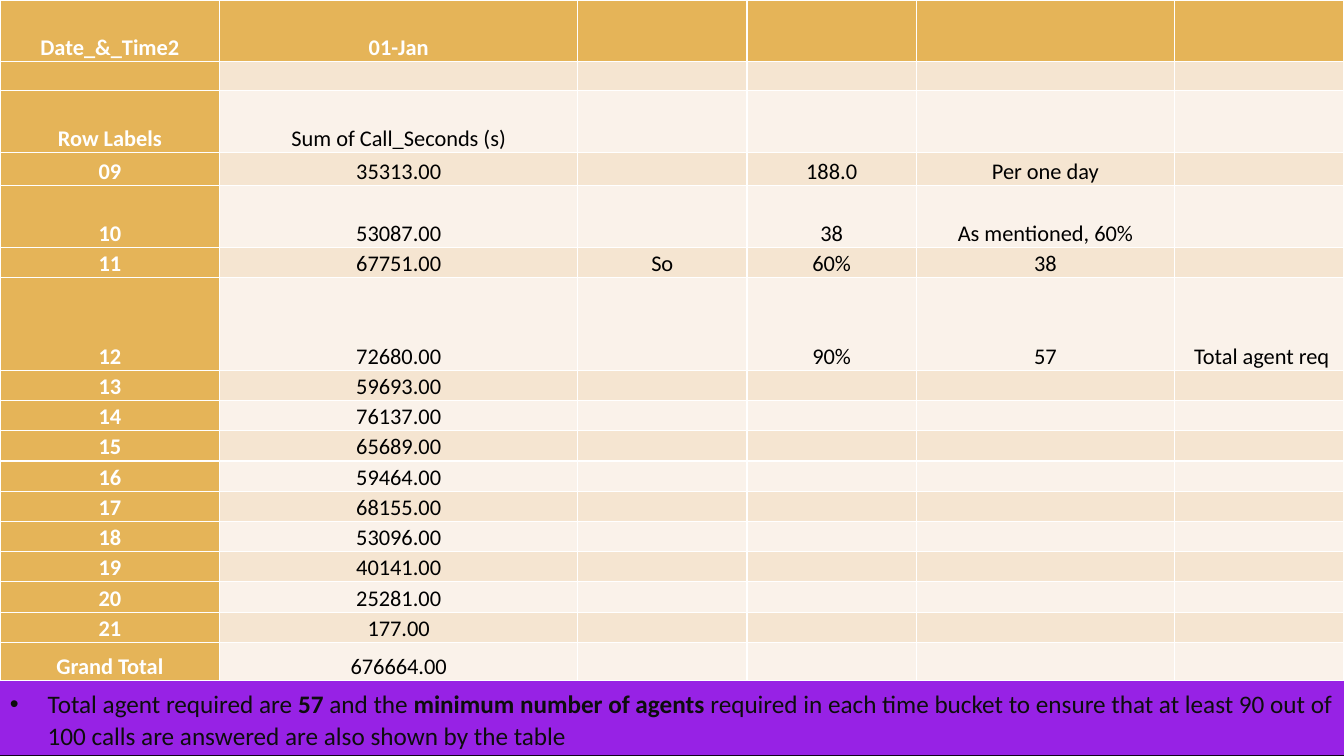
from lxml import etree
from pptx import Presentation
from pptx.dml.color import RGBColor
from pptx.enum import shapes, text
from pptx.oxml import ns
from pptx.util import Pt

GOLD, SAND, CREAM = "E5B458", "F5E5D1", "FAF2EA"
COLUMN_WIDTHS = [157, 255.6, 121, 121, 184.4, 121]
ROW_HEIGHTS = [44, 20.9, 44, 23.8, 44, 21.6, 66.2] + [21.6] * 9 + [27.4]
CALL_ROWS = [
    ["Date_&_Time2", "01-Jan"],
    [],
    ["Row Labels", "Sum of Call_Seconds (s)"],
    ["09", "35313.00", "", "188.0", " Per one day "],
    ["10", "53087.00", "", "38", "As mentioned, 60%"],
    ["11", "67751.00", "So", "60%", "38"],
    ["12", "72680.00", "", "90%", "57", " Total agent req"],
    ["13", "59693.00"],
    ["14", "76137.00"],
    ["15", "65689.00"],
    ["16", "59464.00"],
    ["17", "68155.00"],
    ["18", "53096.00"],
    ["19", "40141.00"],
    ["20", "25281.00"],
    ["21", "177.00"],
    ["Grand Total", "676664.00"],
]
CONCLUSION = [
    ("Total agent required are ", False),
    ("57 ", True),
    ("and the ", False),
    ("minimum number of agents", True),
    (" required in each time bucket to ensure that at least 90 out of "
     "100 calls are answered are also shown by the table", False),
]


def paint(fill, color):
    fill.solid()
    fill.fore_color.rgb = RGBColor.from_string(color)


def style(paragraph, size, color):
    paragraph.line_spacing = 1.07
    paragraph.space_after = Pt(8)
    paragraph.font.name = "Calibri"
    paragraph.font.size = Pt(size)
    paragraph.font.color.rgb = RGBColor.from_string(color)


def fill_cell(cell, wording, is_header, band):
    paint(cell.fill, GOLD if is_header else band)
    cell.margin_left = cell.margin_right = Pt(5)
    cell.margin_top = cell.margin_bottom = 0
    cell.vertical_anchor = text.MSO_ANCHOR.BOTTOM
    paragraph = cell.text_frame.paragraphs[0]
    if wording:
        paragraph.text = wording
        paragraph.alignment = text.PP_ALIGN.CENTER
        style(paragraph, 16, "FFFFFF" if is_header else "000000")
        paragraph.font.bold = is_header
    else:
        etree.SubElement(paragraph._p, ns.qn("a:endParaRPr"), sz="1600")


def add_call_table(slide):
    calls = slide.shapes.add_table(
        len(ROW_HEIGHTS), len(COLUMN_WIDTHS), 0, 0,
        Pt(sum(COLUMN_WIDTHS)), Pt(sum(ROW_HEIGHTS))).table
    for column, width in zip(calls.columns, COLUMN_WIDTHS):
        column.width = Pt(width)
    for r, (height, wordings) in enumerate(zip(ROW_HEIGHTS, CALL_ROWS)):
        calls.rows[r].height = Pt(height)
        band = SAND if r % 2 else CREAM
        for c in range(len(COLUMN_WIDTHS)):
            wording = wordings[c] if c < len(wordings) else ""
            fill_cell(calls.cell(r, c), wording, r == 0 or c == 0, band)


def add_conclusion(slide):
    banner = slide.shapes.add_shape(
        shapes.MSO_SHAPE.RECTANGLE, 0, Pt(486.6), Pt(960), Pt(52.8))
    banner.shadow.inherit = False
    paint(banner.fill, "9722E5")
    banner.line.fill.background()
    frame = banner.text_frame
    frame.word_wrap = True
    frame.auto_size = text.MSO_AUTO_SIZE.SHAPE_TO_FIT_TEXT
    frame.vertical_anchor = text.MSO_ANCHOR.TOP
    paragraph = frame.paragraphs[0]
    paragraph.alignment = text.PP_ALIGN.LEFT
    properties = paragraph._p.get_or_add_pPr()
    properties.set("marL", str(Pt(27)))
    properties.set("indent", str(Pt(-27)))
    etree.SubElement(properties, ns.qn("a:buFont"), typeface="Arial")
    etree.SubElement(properties, ns.qn("a:buChar"), char="•")
    style(paragraph, 18, "0D0D0D")
    for wording, bold in CONCLUSION:
        run = paragraph.add_run()
        run.text = wording
        run.font.bold = bold


def main():
    deck = Presentation()
    deck.slide_width, deck.slide_height = Pt(960), Pt(540)
    slide = deck.slides.add_slide(deck.slide_layouts[6])
    paint(slide.background.fill, "000000")
    add_call_table(slide)
    add_conclusion(slide)
    deck.save("out.pptx")


if __name__ == "__main__":
    main()
